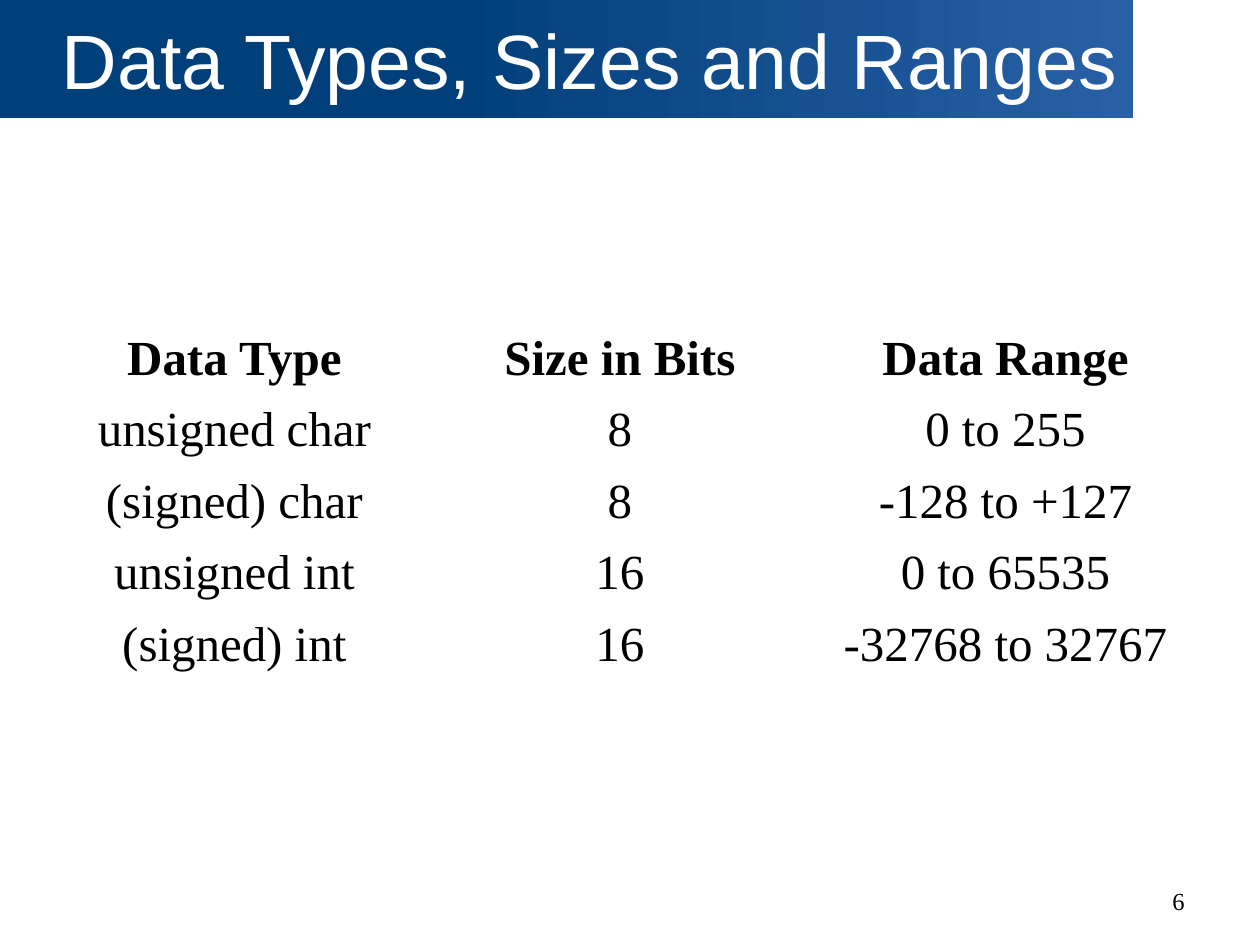
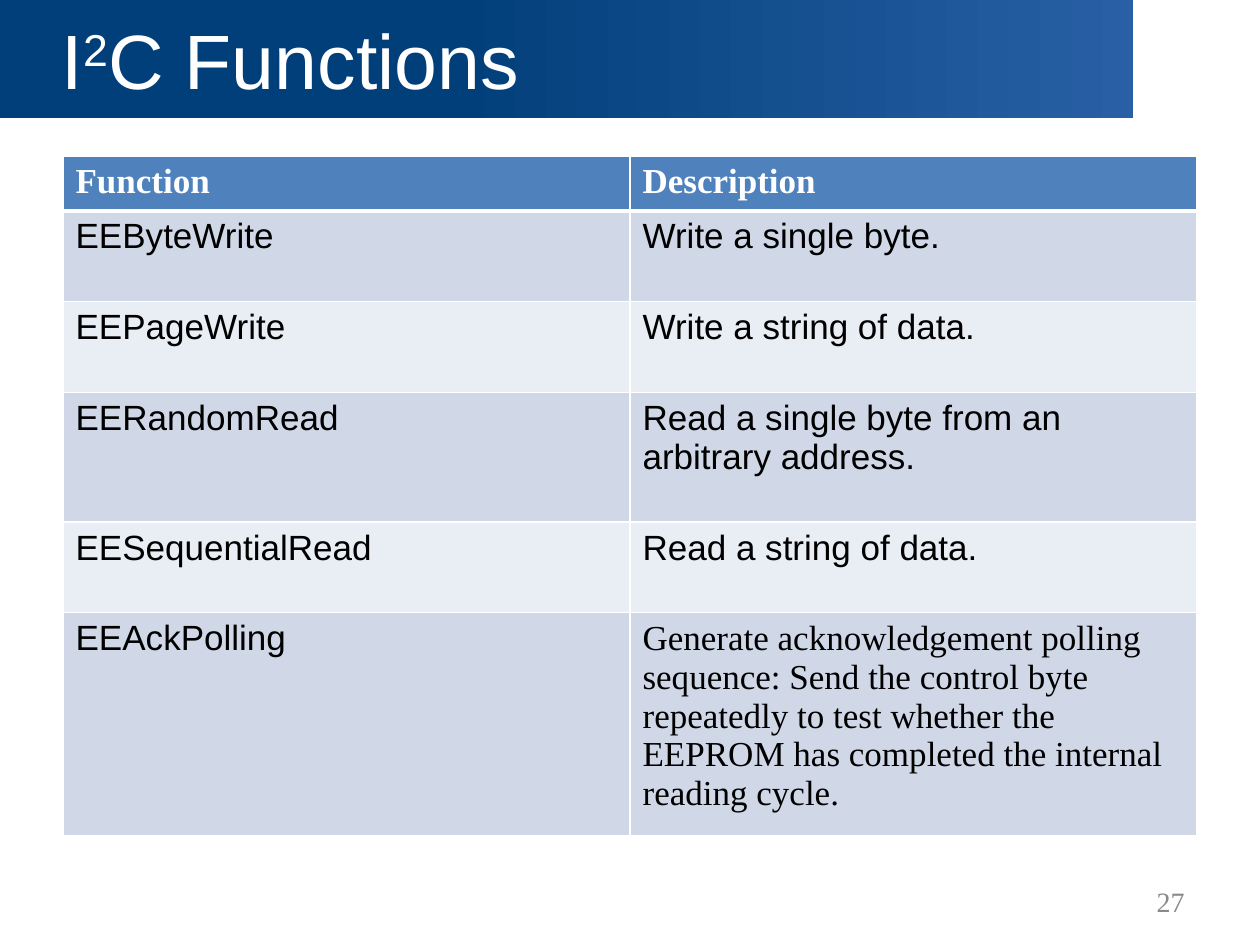
import copy
from dataclasses import dataclass

import pptx
import pptx.dml.color
import pptx.enum.shapes
import pptx.enum.text
import pptx.oxml
import pptx.oxml.ns
import pptx.util

Inches = pptx.util.Inches
Pt = pptx.util.Pt
ALIGN = pptx.enum.text.PP_ALIGN
MIDDLE = pptx.enum.text.MSO_ANCHOR.MIDDLE


def rgb(code):
    return pptx.dml.color.RGBColor.from_string(code)


@dataclass(frozen=True)
class Theme:
    sans: str = "Arial"
    serif: str = "Times New Roman"
    white: str = "FFFFFF"
    black: str = "000000"
    grey: str = "898989"
    band_dark: str = "013F7A"
    band_light: str = "2960A5"
    header: str = "4F81BD"
    stripes: tuple = ("D0D8E8", "E9EDF4")
    title_size: int = 44
    large_size: int = 28
    body_size: int = 20
    rule: int = 1
    header_rule: int = 3


class Deck:
    def __init__(self, theme):
        self.theme = theme
        self.prs = pptx.Presentation()
        self.prs.slide_width, self.prs.slide_height = Inches(10), Inches(7.5)
        self.s = None

    def slide(self, title, number, number_size, number_color):
        """Start a slide; title is a list of (text, is_superscript) pairs."""
        self.s = self.prs.slides.add_slide(self.prs.slide_layouts[6])
        self.title_band(title)
        self.page_number(number, number_size, number_color)

    def add_text(self, p, text, size, font, color, bold=False, superscript=False):
        r = p.add_run()
        r.text = text
        formats = {"size": Pt(size), "name": font, "bold": bold}
        for name, value in formats.items():
            setattr(r.font, name, value)
        r.font.color.rgb = rgb(color)
        if superscript:
            r._r.get_or_add_rPr().set("baseline", "30000")

    def frame(self, tf, **formats):
        formats = {"word_wrap": True, "vertical_anchor": MIDDLE, **formats}
        for name, value in formats.items():
            setattr(tf, name, value)
        return tf.paragraphs[0]

    def title_band(self, title):
        t = self.theme
        sp = self.s.shapes.add_shape(
            pptx.enum.shapes.MSO_SHAPE.RECTANGLE, 0, 0, Inches(8.99), Inches(0.94))
        sp.shadow.inherit = False
        sp.line.fill.background()
        self.fade(sp)
        p = self.frame(sp.text_frame, margin_left=Inches(0.49))
        p.alignment = ALIGN.LEFT
        for text, superscript in title:
            self.add_text(p, text, t.title_size, t.sans, t.white, superscript=superscript)

    def fade(self, sp):
        """Hold the dark colour for 40 % of the width, then fade to the light one."""
        sp.fill.gradient()
        sp.fill.gradient_angle = 0
        first, last = sp.fill.gradient_stops
        first.color.rgb, first.position = rgb(self.theme.band_dark), 0
        last.color.rgb, last.position = rgb(self.theme.band_light), 1
        start = sp._element.spPr.find(".//" + pptx.oxml.ns.qn("a:gs"))
        hold = copy.deepcopy(start)
        hold.set("pos", "40000")
        start.addnext(hold)

    def page_number(self, number, size, color):
        sp = self.s.shapes.add_textbox(Inches(7.17), Inches(6.95), Inches(2.33), Inches(0.4))
        p = self.frame(sp.text_frame)
        p.alignment = ALIGN.RIGHT
        self.add_text(p, str(number), size, self.theme.serif, color)

    def table(self, left, top, col_width, heights, rows, style):
        """Fill a table; style(row, col) gives text formats, alignment and fill."""
        n_cols = len(rows[0])
        table = self.s.shapes.add_table(
            len(rows), n_cols, Inches(left), Inches(top),
            Inches(col_width * n_cols), Inches(sum(heights))).table
        table.first_row = table.horz_banding = False
        for col in table.columns:
            col.width = Inches(col_width)
        for i, (height, row) in enumerate(zip(heights, rows)):
            table.rows[i].height = Inches(height)
            for j, text in enumerate(row):
                cell = table.cell(i, j)
                formats, align, fill = style(i, j)
                self.borders(cell, i)
                if fill:
                    cell.fill.solid()
                    cell.fill.fore_color.rgb = rgb(fill)
                else:
                    cell.fill.background()
                p = cell.text_frame.paragraphs[0]
                p.alignment = align
                self.add_text(p, text, **formats)

    def borders(self, cell, row):
        t = self.theme
        widths = {"L": t.rule, "R": t.rule,
                  "T": t.header_rule if row == 1 else t.rule,
                  "B": t.header_rule if row == 0 else t.rule}
        tc_pr = cell._tc.get_or_add_tcPr()
        for side, width in widths.items():
            tc_pr.append(pptx.oxml.parse_xml(
                f'<a:ln{side} {pptx.oxml.ns.nsdecls("a")} w="{Pt(width)}">'
                f'<a:solidFill><a:srgbClr val="{t.white}"/></a:solidFill></a:ln{side}>'))


def data_types_slide(deck):
    t = deck.theme
    deck.slide([("Data Types, Sizes and Ranges", False)], 6, 14, t.black)
    rows = [
        ("Data Type", "Size in Bits", "Data Range"),
        ("unsigned char", "8", "0 to 255"),
        ("(signed) char", "8", "-128 to +127"),
        ("unsigned int", "16", "0 to 65535"),
        ("(signed) int", "16", "-32768 to 32767"),
    ]

    def style(row, col):
        formats = {"size": t.large_size, "font": t.serif, "color": t.black, "bold": row == 0}
        return formats, ALIGN.CENTER, None

    deck.table(0.33, 2.58, 3.06, [0.53] * len(rows), rows, style)


def i2c_functions_slide(deck):
    t = deck.theme
    deck.slide([("I", False), ("2", True), ("C Functions", False)], 27, 16, t.grey)
    rows = [
        ("Function", "Description"),
        ("EEByteWrite", "Write a single byte."),
        ("EEPageWrite", "Write a string of data."),
        ("EERandomRead", "Read a single byte from an arbitrary address."),
        ("EESequentialRead", "Read a string of data."),
        ("EEAckPolling", "Generate acknowledgement polling sequence: Send the control byte "
         "repeatedly to test whether the EEPROM has completed the internal reading cycle."),
    ]

    def style(row, col):
        header = row == 0
        polling_text = (row, col) == (len(rows) - 1, 1)
        formats = {"size": t.body_size, "bold": header,
                   "font": t.serif if header or polling_text else t.sans,
                   "color": t.white if header else t.black}
        return formats, ALIGN.LEFT, t.header if header else t.stripes[(row - 1) % 2]

    deck.table(0.5, 1.24, 4.5, [0.41, 0.72, 0.72, 1.03, 0.72, 1.64], rows, style)


def main():
    deck = Deck(Theme())
    data_types_slide(deck)
    i2c_functions_slide(deck)
    deck.prs.save("out.pptx")


if __name__ == "__main__":
    main()
